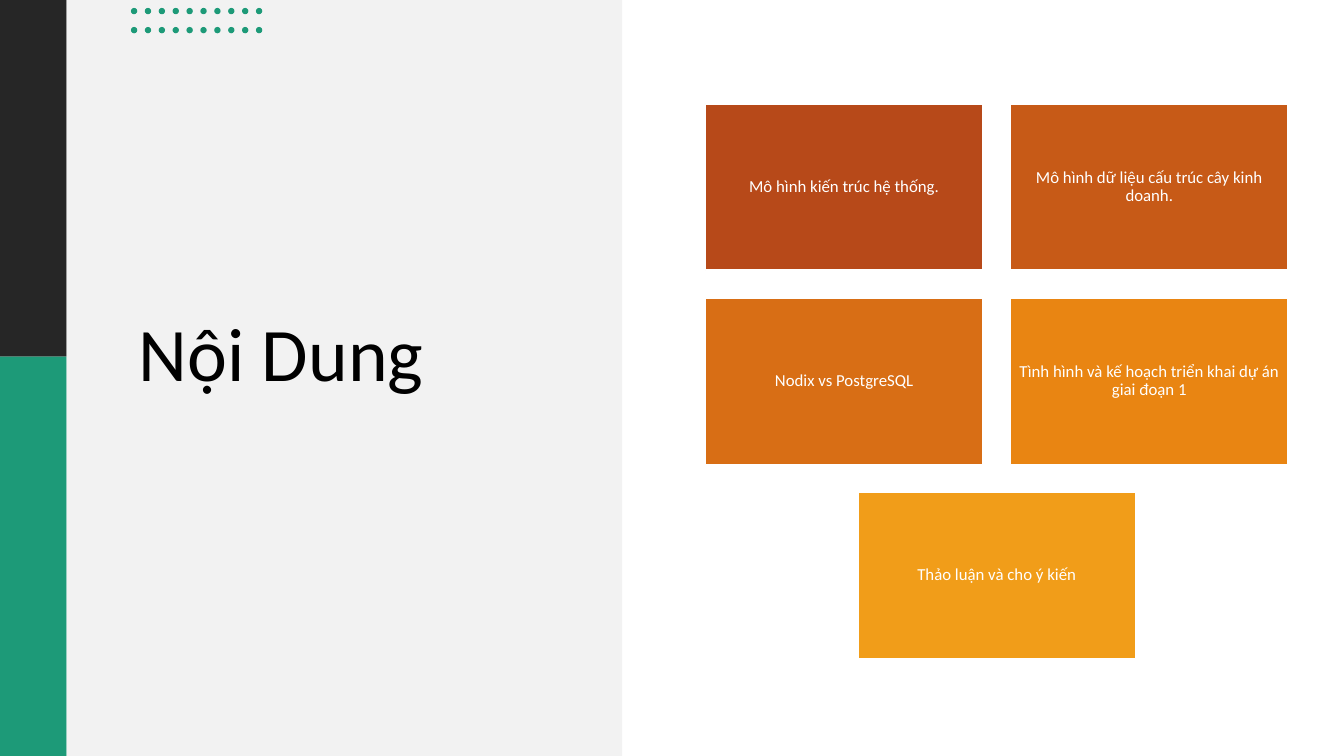
from dataclasses import dataclass

from pptx import Presentation
from pptx.dml.color import RGBColor
from pptx.enum.shapes import MSO_SHAPE
from pptx.enum.text import MSO_ANCHOR, PP_ALIGN
from pptx.util import Cm, Pt

RECT, OVAL = MSO_SHAPE.RECTANGLE, MSO_SHAPE.OVAL
MIDDLE = MSO_ANCHOR.MIDDLE
LEFT, CENTER = PP_ALIGN.LEFT, PP_ALIGN.CENTER
FONT = "Calibri"
GREEN, WHITE = "1D9A78", "FFFFFF"
SLIDE_W, SLIDE_H = 33.87, 19.05
STRIP_W, STRIP_SPLIT = 1.68, 8.99
DOT_COLS, DOT_ROWS = 10, 2
CARD_X, CARD_Y, CARD_W, CARD_H, CARD_GAP = 17.78, 2.62, 6.99, 4.19, 0.7


@dataclass
class Box:
    x: float
    y: float
    w: float
    h: float
    fill: str


@dataclass
class Card:
    text: str
    fill: str
    col: float
    row: int


def rgb(value: str) -> RGBColor:
    return RGBColor.from_string(value)


def add_box(s, box: Box, kind=RECT, line: str = ""):
    sp = s.shapes.add_shape(kind, Cm(box.x), Cm(box.y), Cm(box.w), Cm(box.h))
    sp.shadow.inherit = False
    sp.fill.solid()
    sp.fill.fore_color.rgb = rgb(box.fill)
    if line:
        sp.line.color.rgb = rgb(line)
        sp.line.width = Pt(1)
    else:
        sp.line.fill.background()
    return sp


def write(sp, text: str, size: int, color: str, align) -> None:
    tf = sp.text_frame
    tf.word_wrap = True
    tf.vertical_anchor = MIDDLE
    p = tf.paragraphs[0]
    p.alignment = align
    p.line_spacing = 0.9
    r = p.add_run()
    r.text = text
    r.font.name = FONT
    r.font.size = Pt(size)
    r.font.color.rgb = rgb(color)


def add_card(s, card: Card) -> None:
    x = CARD_X + card.col * (CARD_W + CARD_GAP)
    y = CARD_Y + card.row * (CARD_H + CARD_GAP)
    sp = add_box(s, Box(x, y, CARD_W, CARD_H, card.fill), line=WHITE)
    tf = sp.text_frame
    tf.margin_left = tf.margin_right = tf.margin_top = tf.margin_bottom = Cm(0.13)
    write(sp, card.text, 12, WHITE, CENTER)


PANELS = [
    Box(0, 0, STRIP_W, STRIP_SPLIT, "262626"),
    Box(0, STRIP_SPLIT, STRIP_W, SLIDE_H - STRIP_SPLIT, GREEN),
    Box(STRIP_W, 0, 14, SLIDE_H, "F2F2F2"),
]

CARDS = [
    Card("Mô hình kiến trúc hệ thống.", "B74919", 0, 0),
    Card("Mô hình dữ liệu cấu trúc cây kinh doanh.", "C75A17", 1, 0),
    Card("Nodix vs PostgreSQL", "D86E15", 0, 1),
    Card("Tình hình và kế hoạch triển khai dự án giai đoạn 1", "E98512", 1, 1),
    Card("Thảo luận và cho ý kiến", "F19D19", 0.5, 2),
]


def main() -> None:
    prs = Presentation()
    prs.slide_width, prs.slide_height = Cm(SLIDE_W), Cm(SLIDE_H)
    s = prs.slides.add_slide(prs.slide_layouts[6])

    # Side strip and title panel
    for panel in PANELS:
        add_box(s, panel)

    # Title
    title = s.shapes.add_textbox(Cm(3.25), Cm(3.33), Cm(10.46), Cm(11.33))
    write(title, "Nội Dung", 54, "000000", LEFT)

    # Dot grid
    for row in range(DOT_ROWS):
        for col in range(DOT_COLS):
            dot = Box(3.3 + 0.35 * col, 0.2 + 0.48 * row, 0.16, 0.16, GREEN)
            add_box(s, dot, OVAL)

    # Agenda cards
    for card in CARDS:
        add_card(s, card)

    prs.save("out.pptx")


if __name__ == "__main__":
    main()
